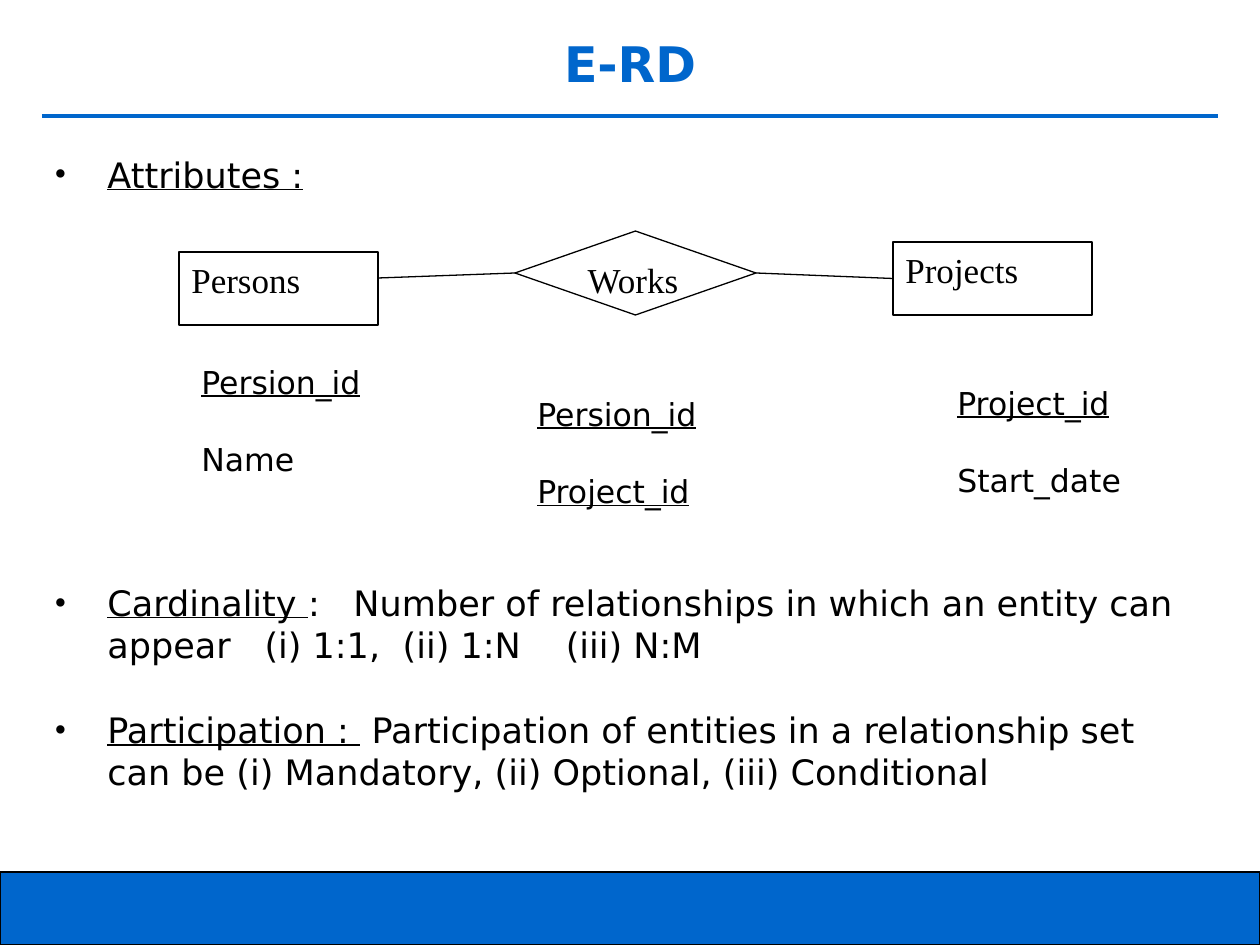
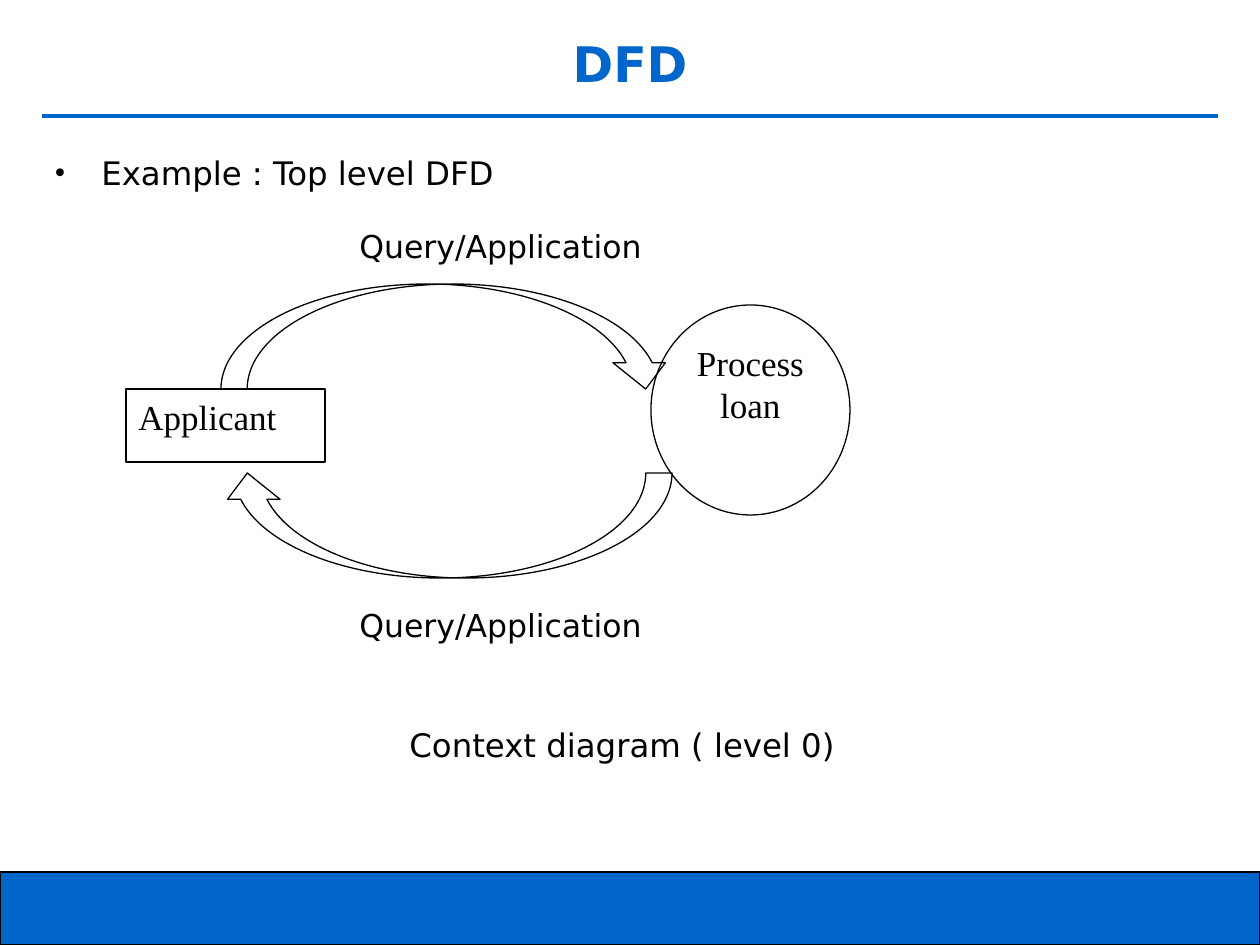
from lxml.etree import SubElement
from pptx import Presentation
from pptx.dml.color import RGBColor
from pptx.enum.shapes import MSO_CONNECTOR, MSO_SHAPE
from pptx.enum.text import MSO_ANCHOR, PP_ALIGN
from pptx.oxml.ns import qn
from pptx.util import Emu, Pt

BLUE = RGBColor(0x00, 0x66, 0xCC)
BLACK = RGBColor(0x00, 0x00, 0x00)
SANS = "DejaVu Sans"
SERIF = "Times New Roman"
EMU_PER_PX = 914400 / 126
PAGE_WIDTH, PAGE_HEIGHT = 1260, 945
TOP, LEFT, BOTTOM, RIGHT = range(4)
ENTITY_SIZE = (199, 73)
SPACE_WIDTH = 0.32


def px(length):
    return Emu(round(length * EMU_PER_PX))


def write(para, text, font=SANS, size=18, color=BLACK, bold=False, underline=False, spacing=0):
    span = para.add_run()
    span.text = text
    span.font.name = font
    span.font.size = Pt(size)
    span.font.color.rgb = color
    span.font.bold = bold
    span.font.underline = underline
    if spacing:
        span._r.get_or_add_rPr().set("spc", str(round(spacing * 100)))


class SlideBuilder:
    def __init__(self):
        self.deck = Presentation()
        self.deck.slide_width = px(PAGE_WIDTH)
        self.deck.slide_height = px(PAGE_HEIGHT)
        self.page = None

    def start_page(self, title):
        self.page = self.deck.slides.add_slide(self.deck.slide_layouts[6])
        self.shape(MSO_SHAPE.RECTANGLE, 0, 872, PAGE_WIDTH, 73, fill=BLUE)
        self.line((42, 116), (1218, 116), color=BLUE, weight=2.25)
        frame = self.text_frame(42, 21, 1176, 84)
        frame.vertical_anchor = MSO_ANCHOR.MIDDLE
        para = frame.paragraphs[0]
        para.alignment = PP_ALIGN.CENTER
        write(para, title, size=28, color=BLUE, bold=True)

    def shape(self, kind, left, top, width, height, text="", align=PP_ALIGN.LEFT, fill=None):
        shape = self.page.shapes.add_shape(kind, px(left), px(top), px(width), px(height))
        shape.shadow.inherit = False
        if fill is None:
            shape.fill.background()
        else:
            shape.fill.solid()
            shape.fill.fore_color.rgb = fill
        shape.line.color.rgb = BLACK
        shape.line.width = Pt(0.75)
        if text:
            frame = shape.text_frame
            frame.word_wrap = True
            frame.vertical_anchor = MSO_ANCHOR.TOP
            frame.paragraphs[0].alignment = align
            write(frame.paragraphs[0], text, font=SERIF, size=20)
        return shape

    def line(self, start, end, color=BLACK, weight=0.75):
        ends = [px(value) for value in start + end]
        line = self.page.shapes.add_connector(MSO_CONNECTOR.STRAIGHT, *ends)
        line.line.color.rgb = color
        line.line.width = Pt(weight)
        SubElement(line._element.spPr, qn("a:effectLst"))
        return line

    def text_frame(self, left, top, width, height):
        box = self.page.shapes.add_textbox(px(left), px(top), px(width), px(height))
        box.text_frame.word_wrap = True
        return box.text_frame

    def label(self, left, top, width, height, *lines, size=18):
        frame = self.text_frame(left, top, width, height)
        for index, (text, underline) in enumerate(lines):
            para = frame.add_paragraph() if index else frame.paragraphs[0]
            para.space_before = Pt(16.9)
            para.space_after = Pt(5.6)
            write(para, text, size=size, underline=underline)

    def bullets(self, items, size, indent):
        frame = self.text_frame(42, 147, 1176, 703)
        for index, (space_before, *spans) in enumerate(items):
            para = frame.add_paragraph() if index else frame.paragraphs[0]
            para.space_before = Pt(space_before)
            para.space_after = Pt(6.2)
            properties = para._p.get_or_add_pPr()
            properties.set("marL", str(px(indent)))
            properties.set("indent", str(px(-indent)))
            SubElement(properties, qn("a:buFont"), typeface=SERIF)
            SubElement(properties, qn("a:buChar"), char="•")
            for text, underline, gap in spans:
                write(para, text, size=size, underline=underline)
                if gap:
                    spacing = (gap - 1) * SPACE_WIDTH * size
                    write(para, " ", size=size, underline=underline, spacing=spacing)


def build_entity_relationship(builder):
    builder.start_page("E-RD")
    builder.bullets([
        (18.7, ("Attributes :", True, 0)),
        (214.4,
         ("Cardinality", True, 1),
         (":", False, 3),
         ("Number of relationships in which an entity can appear", False, 3),
         ("(i) 1:1,", False, 2),
         ("(ii) 1:N", False, 4),
         ("(iii) N:M", False, 0)),
        (18.7,
         ("Participation :", True, 2),
         ("Participation of entities in a relationship set "
          "can be (i) Mandatory, (ii) Optional, (iii) Conditional", False, 0)),
    ], size=20, indent=53)
    builder.shape(MSO_SHAPE.FLOWCHART_PROCESS, 179, 252, *ENTITY_SIZE, text="Persons")
    projects = builder.shape(MSO_SHAPE.FLOWCHART_PROCESS, 893, 242, *ENTITY_SIZE, text="Projects")
    works = builder.shape(MSO_SHAPE.FLOWCHART_DECISION, 515, 231, 241, 84, text="Works")
    builder.line((378, 278), (515, 273)).end_connect(works, LEFT)
    works_to_projects = builder.line((756, 273), (893, 278))
    works_to_projects.begin_connect(works, RIGHT)
    works_to_projects.end_connect(projects, LEFT)
    builder.label(189, 357, 200, 127, ("Persion_id", True), ("Name", False))
    builder.label(525, 389, 252, 127, ("Persion_id", True), ("Project_id", True))
    builder.label(945, 378, 200, 127, ("Project_id", True), ("Start_date", False))


def build_data_flow(builder):
    builder.start_page("DFD")
    builder.bullets([(18.7, ("Example : Top level DFD", False, 0))], size=18.5, indent=47)
    builder.label(397, 719, 500, 50, ("Context diagram ( level 0)", False), size=18.5)
    builder.shape(MSO_SHAPE.OVAL, 651, 305, 199, 210, text="Process loan", align=PP_ALIGN.CENTER)
    builder.shape(MSO_SHAPE.RECTANGLE, 126, 389, *ENTITY_SIZE, text="Applicant")
    for arrow_top, rotation, label_top in ((284, 0, 221), (473, 180, 600)):
        arrow = builder.shape(MSO_SHAPE.CURVED_DOWN_ARROW, 221, arrow_top, 451, 105)
        arrow.rotation = rotation
        builder.label(347, label_top, 347, 50, ("Query/Application", False))


def main():
    builder = SlideBuilder()
    build_entity_relationship(builder)
    build_data_flow(builder)
    builder.deck.save("out.pptx")


if __name__ == "__main__":
    main()
